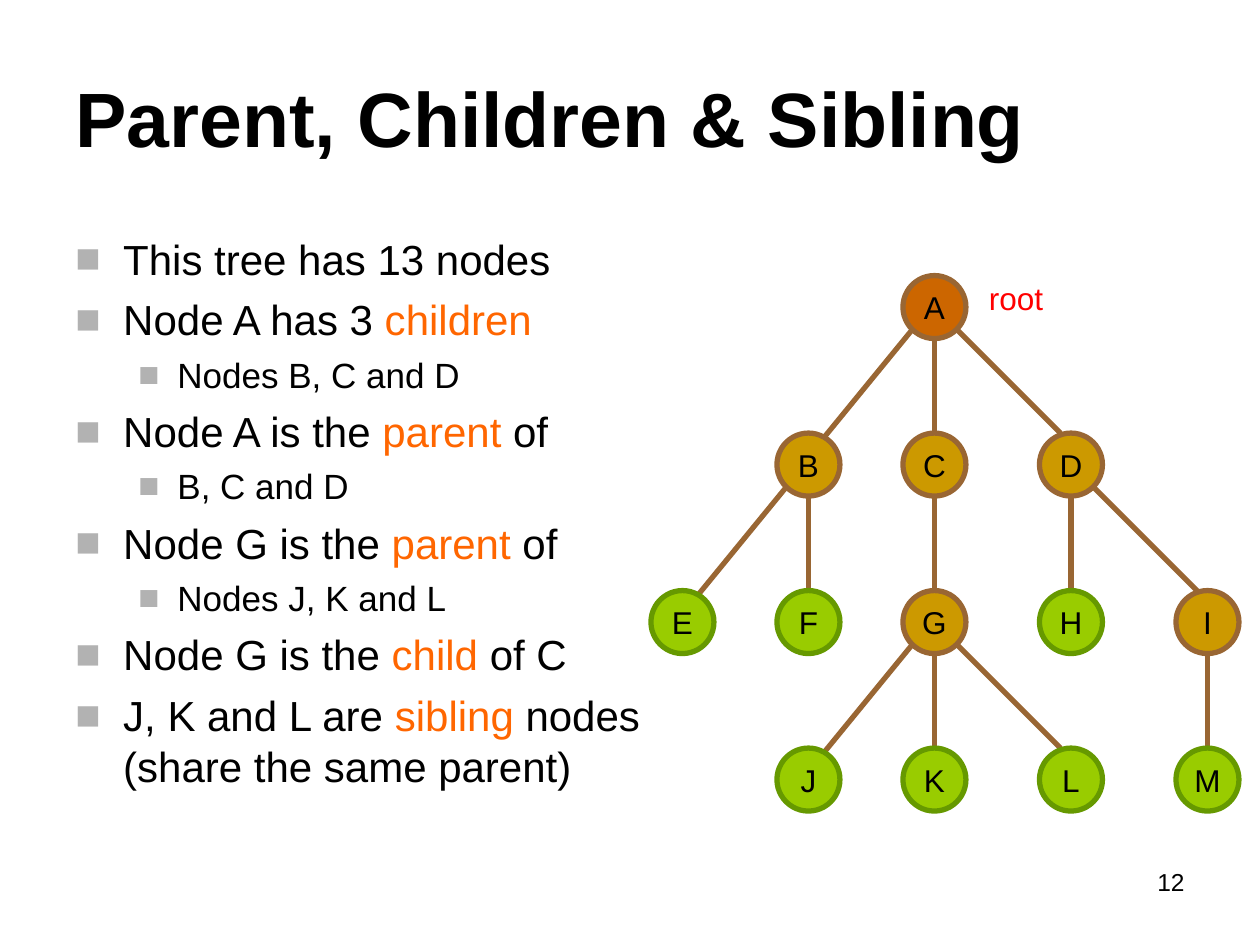
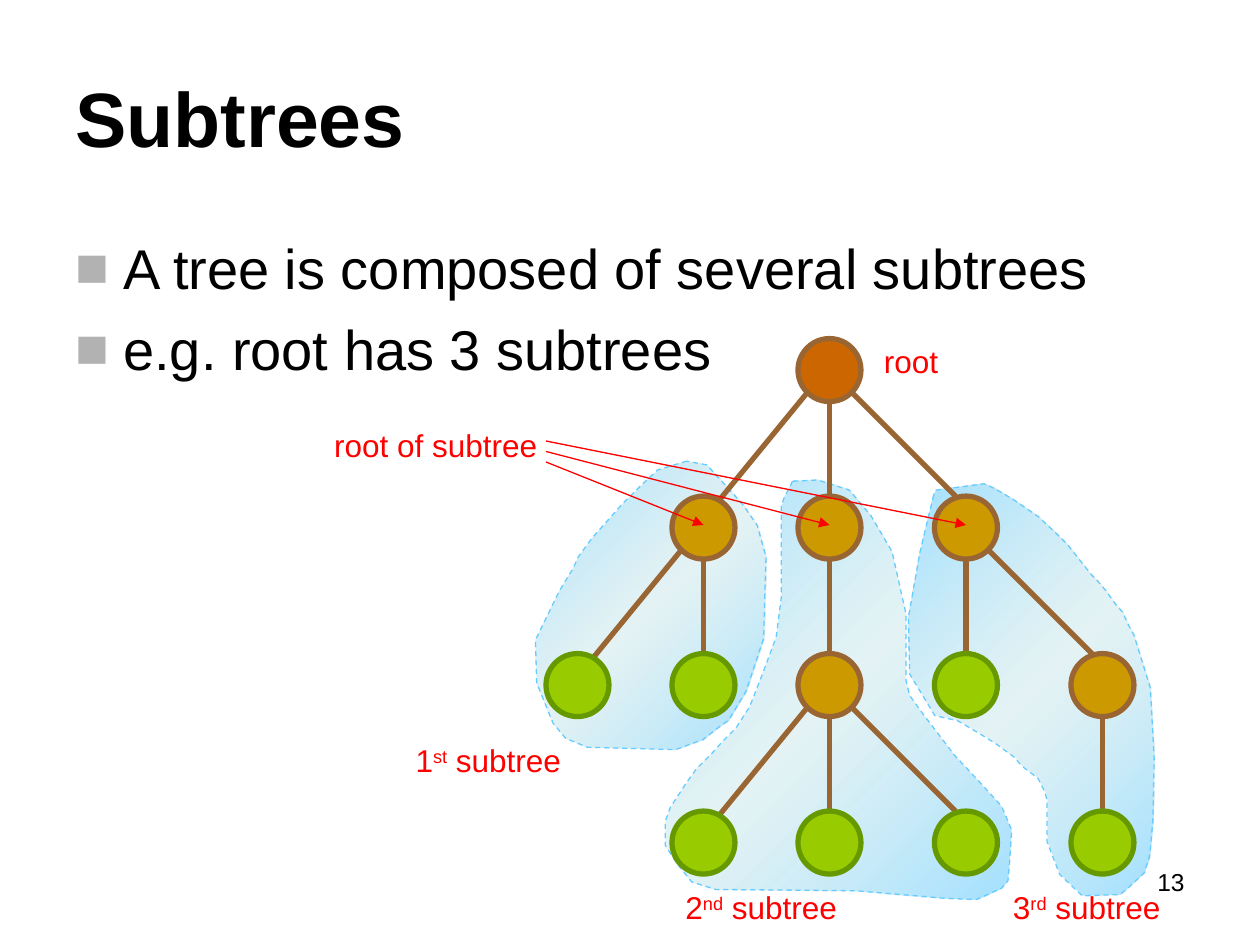
from dataclasses import dataclass

from lxml import etree
from pptx import Presentation
from pptx.dml.color import RGBColor
from pptx.enum.dml import MSO_LINE_DASH_STYLE as Dash
from pptx.enum.shapes import MSO_CONNECTOR as Connector, MSO_SHAPE as Shape
from pptx.enum.text import MSO_ANCHOR as Anchor, PP_ALIGN as Align
from pptx.oxml import parse_xml
from pptx.oxml.ns import nsdecls, qn
from pptx.util import Inches, Pt


@dataclass(frozen=True)
class Theme:
    font: str = "Arial"
    ink: str = "000000"
    accent: str = "FF6600"
    note: str = "FF0000"
    bullet: str = "B2B2B2"
    root: str = "CC6600"
    branch: str = "CC9900"
    bark: str = "996633"
    leaf: str = "99CC00"
    leaf_edge: str = "669900"
    region: str = "66CCFF"
    region_mid: str = "BBE0E3"
    title_size: int = 44
    big_size: int = 32
    body_size: int = 24
    sub_size: int = 20
    label_size: int = 18
    page_size: int = 14


THEME = Theme()
WIDTH, HEIGHT = Inches(10), Inches(7.5)
CELL = WIDTH // 120  # the slide is a grid of 120 columns by 90 rows
NODE = 6             # node diameter in cells
LEVEL = 15           # rows between tree levels
COLUMNS = (-24, -12, 0, 13, 26)  # tree columns, measured from the root

# letter: (column, level, parent)
TREE = {
    "A": (2, 0, None),
    "B": (1, 1, "A"), "C": (2, 1, "A"), "D": (3, 1, "A"),
    "E": (0, 2, "B"), "F": (1, 2, "B"), "G": (2, 2, "C"),
    "H": (3, 2, "D"), "I": (4, 2, "D"),
    "J": (1, 3, "G"), "K": (2, 3, "G"), "L": (3, 3, "G"), "M": (4, 3, "I"),
}
PARENTS = {parent for _, _, parent in TREE.values()}

# start and end of an edge from the node centres, by direction of the child
EDGE_ENDS = {-1: ((-2, 2), (1, -2)), 0: ((0, 3), (0, -3)), 1: ((2, 2), (-1, -3))}

# subtree outlines in thousandths of the slide width
OUTLINES = (
    [(629, 382), (622, 396), (620, 403), (620, 475), (616, 506), (604, 538),
     (595, 561), (584, 578), (574, 588), (565, 598), (553, 610), (545, 621),
     (532, 641), (528, 652), (528, 671), (537, 685), (549, 700), (568, 706),
     (679, 707), (750, 713), (775, 714), (795, 705), (800, 699), (801, 688),
     (803, 659), (795, 640), (775, 618), (758, 600), (732, 566), (727, 559),
     (722, 552), (719, 540), (719, 487), (708, 438), (691, 409), (674, 389),
     (649, 381)],
    [(741, 393), (730, 439), (721, 490), (722, 535), (742, 568), (760, 572),
     (777, 582), (790, 590), (805, 601), (811, 608), (824, 618), (829, 628),
     (831, 635), (831, 668), (841, 694), (859, 711), (889, 710), (895, 705),
     (908, 693), (912, 681), (913, 674), (915, 651), (916, 602), (913, 546),
     (900, 504), (896, 497), (891, 486), (885, 479), (877, 468), (871, 461),
     (866, 456), (847, 432), (839, 424), (824, 410), (805, 397), (790, 388),
     (781, 384), (743, 389)],
    [(545, 366), (522, 373), (508, 386), (494, 400), (486, 409), (470, 427),
     (459, 442), (455, 451), (444, 469), (425, 508), (426, 542), (439, 574),
     (449, 586), (466, 593), (536, 595), (558, 587), (572, 576), (578, 572),
     (592, 549), (601, 522), (606, 507), (608, 442), (601, 417), (590, 401),
     (582, 392), (561, 369)],
)


def rgb(color):
    return RGBColor.from_string(color)


def cells(*counts):
    return [round(count * CELL) for count in counts]


def apply(target, values):
    for name, value in values.items():
        setattr(target, name, value)


def set_font(font, size, color, bold=False):
    apply(font, {"name": THEME.font, "size": Pt(size), "bold": bold})
    font.color.rgb = rgb(color)


def set_line(line, color, width):
    line.color.rgb = rgb(color)
    line.width = Pt(width)


def add_marked_text(paragraph, text, size, color):
    """Write text: *accented*, ^superscript^, newline for a line break."""
    for accent_index, stretch in enumerate(text.split("*")):
        for raised_index, part in enumerate(stretch.split("^")):
            for row, words in enumerate(part.split("\n")):
                if row:
                    paragraph.add_line_break()
                if not words:
                    continue
                run = paragraph.add_run()
                run.text = words
                set_font(run.font, size, THEME.accent if accent_index % 2 else color)
                if raised_index % 2:
                    run._r.get_or_add_rPr().set("baseline", "30000")


def add_text(slide, area, text="", size=THEME.label_size, color=THEME.ink,
             align=Align.LEFT, anchor=Anchor.TOP):
    frame = slide.shapes.add_textbox(*cells(*area)).text_frame
    apply(frame, {"word_wrap": True, "vertical_anchor": anchor})
    paragraph = frame.paragraphs[0]
    paragraph.alignment = align
    add_marked_text(paragraph, text, size, color)
    return frame


def add_note(slide, left, top, text, columns=19, align=Align.CENTER):
    add_text(slide, (left, top, columns, 4.8), text, color=THEME.note, align=align)


def add_bullet_mark(paragraph, margin, hang):
    props = paragraph._p.get_or_add_pPr()
    props.set("marL", str(Inches(margin)))
    props.set("indent", str(-Inches(hang)))
    color = etree.SubElement(props, qn("a:buClr"))
    etree.SubElement(color, qn("a:srgbClr"), val=THEME.bullet)
    etree.SubElement(props, qn("a:buFont"), typeface=THEME.font)
    etree.SubElement(props, qn("a:buChar"), char="■")


def add_bullets(slide, items, size):
    """Items that start with a tab go one level down."""
    frame = add_text(slide, (6, 21.6, 108, 59.4))
    for index, item in enumerate(items):
        paragraph = frame.add_paragraph() if index else frame.paragraphs[0]
        nested = item.startswith("\t")
        item_size = THEME.sub_size if nested else size
        add_bullet_mark(paragraph, *((0.81, 0.31) if nested else (0.38, 0.38)))
        paragraph.level = int(nested)
        if index:
            paragraph.space_before = Pt(item_size * 0.25)
        add_marked_text(paragraph, item.strip("\t"), item_size, THEME.ink)


def add_titled_slide(deck, title, page):
    slide = deck.slides.add_slide(deck.slide_layouts[6])
    heading = add_text(slide, (6, 3.6, 108, 15), title, THEME.title_size,
                       anchor=Anchor.MIDDLE)
    heading.paragraphs[0].runs[0].font.bold = True
    add_text(slide, (86, 82, 28, 6.25), str(page), THEME.page_size, align=Align.RIGHT)
    return slide


def add_line(slide, start, end, color, width, arrow=False):
    connector = slide.shapes.add_connector(Connector.STRAIGHT, *cells(*start, *end))
    set_line(connector.line, color, width)
    if arrow:
        etree.SubElement(connector.line._get_or_add_ln(), qn("a:tailEnd"), type="triangle")
    etree.SubElement(connector._element.spPr, qn("a:effectLst"))


def add_node(slide, letter, center, show_letter):
    x, y = center
    node = slide.shapes.add_shape(
        Shape.OVAL, *cells(x - NODE / 2, y - NODE / 2, NODE, NODE))
    node.shadow.inherit = False
    is_leaf = letter not in PARENTS
    is_root = TREE[letter][2] is None
    fill = THEME.leaf if is_leaf else THEME.root if is_root else THEME.branch
    node.fill.solid()
    node.fill.fore_color.rgb = rgb(fill)
    set_line(node.line, THEME.leaf_edge if is_leaf else THEME.bark, 3)
    if show_letter:
        frame = node.text_frame
        apply(frame, {"word_wrap": False, "vertical_anchor": Anchor.MIDDLE})
        frame.paragraphs[0].alignment = Align.CENTER
        add_marked_text(frame.paragraphs[0], letter, THEME.label_size, THEME.ink)


def add_tree(slide, root_x, root_y, show_letters):
    """Draw edges, then nodes; return the node centres in cells."""
    centers = {letter: (root_x + COLUMNS[column], root_y + level * LEVEL)
               for letter, (column, level, _) in TREE.items()}
    for letter, (column, _, parent) in TREE.items():
        if parent:
            step = column - TREE[parent][0]
            ends = [(x + dx, y + dy) for (x, y), (dx, dy)
                    in zip((centers[parent], centers[letter]), EDGE_ENDS[step])]
            add_line(slide, *ends, THEME.bark, 3)
    for letter, center in centers.items():
        add_node(slide, letter, center, show_letters)
    add_note(slide, root_x + 4, root_y - 3.25, "root", align=Align.LEFT)
    return centers


def add_region(slide, outline):
    """Enclose a subtree in a dashed, see-through gradient outline."""
    builder = slide.shapes.build_freeform(*outline[0], scale=WIDTH / 1000)
    builder.add_line_segments(outline[1:], close=True)
    region = builder.convert_to_shape()
    region.shadow.inherit = False
    stops = "".join(
        f'<a:gs pos="{place}000"><a:srgbClr val="{color}">'
        f'<a:alpha val="{opacity}000"/></a:srgbClr></a:gs>'
        for place, color, opacity in ((0, THEME.region, 60), (50, THEME.region_mid, 37),
                                      (100, THEME.region, 60)))
    gradient = parse_xml(f'<a:gradFill {nsdecls("a")}><a:gsLst>{stops}</a:gsLst>'
                         '<a:lin ang="2700000" scaled="1"/></a:gradFill>')
    region._element.spPr.find(qn("a:custGeom")).addnext(gradient)
    set_line(region.line, THEME.region, 0.75)
    region.line.dash_style = Dash.DASH


def add_family_slide(deck):
    slide = add_titled_slide(deck, "Parent, Children & Sibling", 12)
    add_bullets(slide, [
        "This tree has 13 nodes",
        "Node A has 3 *children*",
        "\tNodes B, C and D",
        "Node A is the *parent *of",
        "\tB, C and D",
        "Node G is the *parent* of",
        "\tNodes J, K and L",
        "Node G is the *child *of C",
        "J, K and L are *sibling* nodes \n(share the same parent)",
    ], THEME.body_size)
    add_tree(slide, 89, 29.25, show_letters=True)


def add_subtrees_slide(deck):
    slide = add_titled_slide(deck, "Subtrees", 13)
    for outline in OUTLINES:
        add_region(slide, outline)
    add_bullets(slide, ["A tree is composed of several subtrees",
                        "e.g. root has 3 subtrees"], THEME.big_size)
    centers = add_tree(slide, 79, 35.25, show_letters=False)
    for ordinal, left, top in (("1^st^", 37, 70), ("2^nd^", 63, 84), ("3^rd^", 94, 84)):
        add_note(slide, left, top, f"{ordinal} subtree")
    add_note(slide, 29, 40, "root of subtree", columns=25)
    for index, subtree_root in enumerate("BCD"):
        add_line(slide, (52, 44 - index), (centers[subtree_root][0], 50),
                 THEME.note, 0.75, arrow=True)


def main():
    deck = Presentation()
    apply(deck, {"slide_width": WIDTH, "slide_height": HEIGHT})
    add_family_slide(deck)
    add_subtrees_slide(deck)
    deck.save("out.pptx")


if __name__ == "__main__":
    main()
